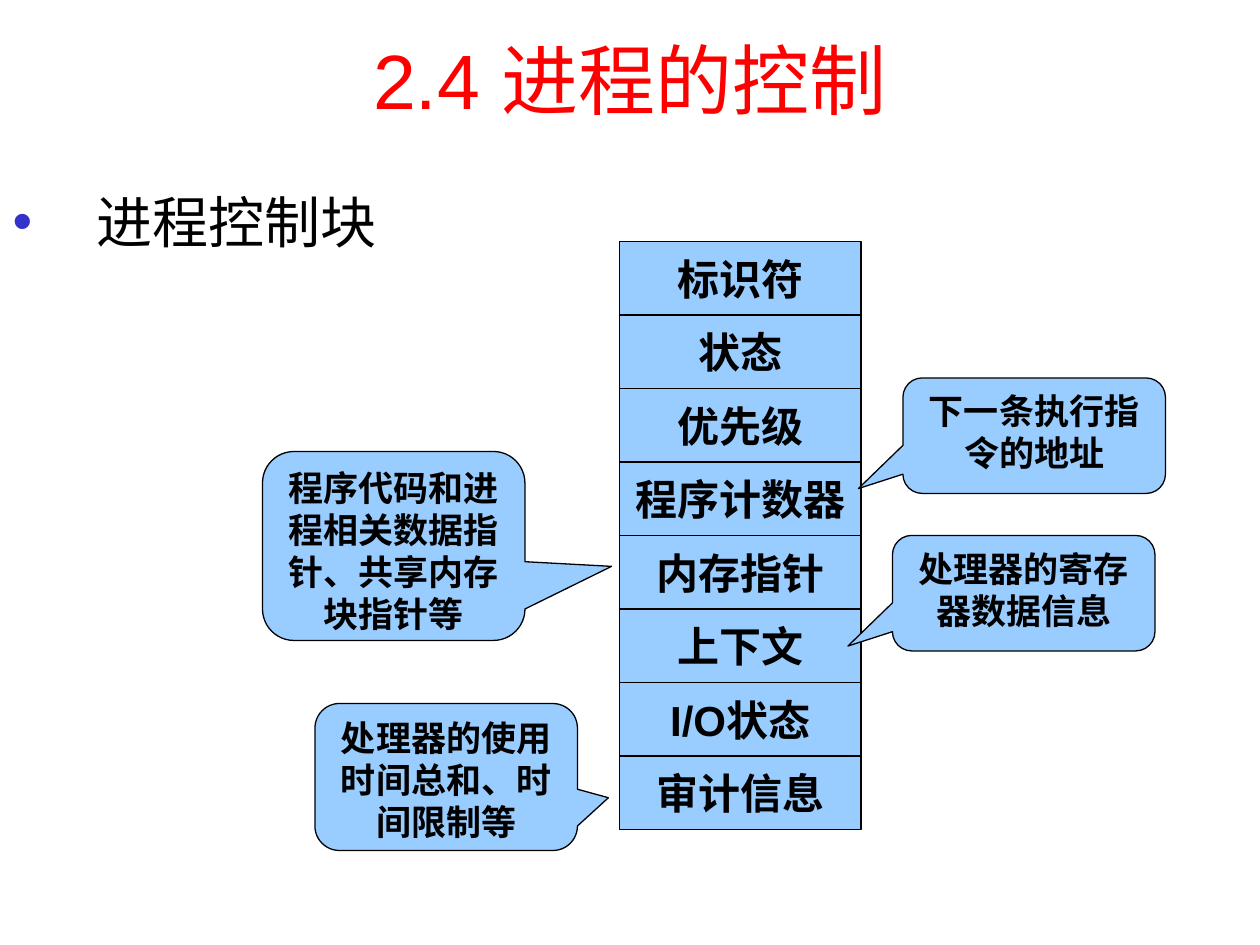
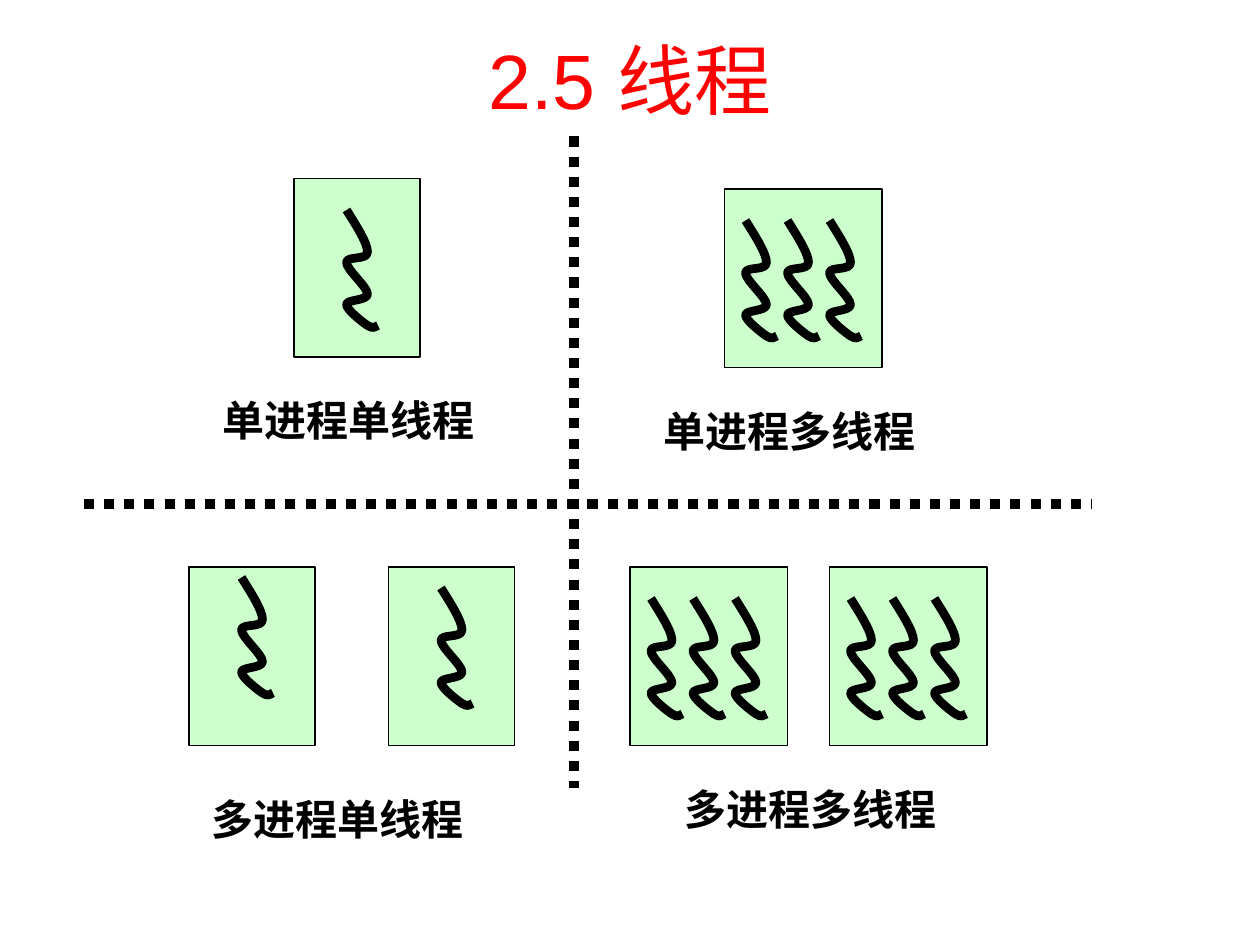
import pptx
import pptx.util
import pptx.dml.color
import pptx.enum.dml
import pptx.enum.shapes
import pptx.enum.text
import pptx.oxml
import pptx.oxml.ns
from lxml import etree

Pt = pptx.util.Pt
RGBColor = pptx.dml.color.RGBColor
MSO_SHAPE = pptx.enum.shapes.MSO_SHAPE
PP_ALIGN = pptx.enum.text.PP_ALIGN
MSO_ANCHOR = pptx.enum.text.MSO_ANCHOR
MSO_AUTO_SIZE = pptx.enum.text.MSO_AUTO_SIZE
qn = pptx.oxml.ns.qn

RED = RGBColor(0xFF, 0x00, 0x00)
BLACK = RGBColor(0x00, 0x00, 0x00)
BULLET_BLUE = RGBColor(0x33, 0x33, 0xCC)
SKY_BLUE = RGBColor(0x99, 0xCC, 0xFF)
PALE_GREEN = RGBColor(0xCC, 0xFF, 0xCC)
FONT = "Arial"
SLIDE_WIDTH, SLIDE_HEIGHT = 720, 540
TITLE_AND_BODY, TITLE_ONLY = 1, 5

PCB_FIELDS = ["标识符", "状态", "优先级", "程序计数器",
              "内存指针", "上下文", "I/O状态", "审计信息"]
FIELD_HEIGHT = 42
PROCESS_HEIGHT = 102
PROCESS_PITCH = 114
THREAD_PITCH = 24
THREAD_CURVES = [
    (6, 9.5), (12, 19), (12, 24),
    (12, 29), (0, 26), (0, 30),
    (0, 34), (12, 44), (12, 48),
    (12, 52), (0, 51), (0, 54),
    (0, 57), (9, 64), (12, 66),
    (15, 68), (16.5, 67), (18, 66),
]


def place(shape, left, top, width, height):
    shape.left, shape.top = Pt(left), Pt(top)
    shape.width, shape.height = Pt(width), Pt(height)


def write(paragraph, text, size, color=BLACK, bold=False, align=PP_ALIGN.CENTER):
    paragraph.alignment = align
    run = paragraph.add_run()
    run.text = text
    run.font.name = FONT
    run.font.size = Pt(size)
    run.font.bold = bold
    run.font.color.rgb = color


def outline(shape, width):
    shape.shadow.inherit = False
    shape.line.color.rgb = BLACK
    shape.line.width = Pt(width)


def filled_shape(shapes, kind, left, top, width, height, color):
    shape = shapes.add_shape(kind, Pt(left), Pt(top), Pt(width), Pt(height))
    shape.fill.solid()
    shape.fill.fore_color.rgb = color
    outline(shape, 0.75)
    return shape


def titled_slide(deck, layout, heading):
    slide = deck.slides.add_slide(deck.slide_layouts[layout])
    title = slide.shapes.title
    place(title, 0, 0, SLIDE_WIDTH, 90)
    title.text_frame.auto_size = MSO_AUTO_SIZE.NONE
    title.text_frame.vertical_anchor = MSO_ANCHOR.MIDDLE
    write(title.text_frame.paragraphs[0], heading, 44, RED)
    return slide


def topic_list(slide, topic, left, top, width, height):
    body = slide.placeholders[1]
    place(body, left, top, width, height)
    body.text_frame.auto_size = MSO_AUTO_SIZE.NONE
    paragraph = body.text_frame.paragraphs[0]
    paragraph.line_spacing = 1.2
    paragraph.space_before = Pt(0)
    properties = paragraph._p.get_or_add_pPr()
    properties.set("marL", str(Pt(48)))
    properties.set("indent", str(Pt(-48)))
    bullet_color = etree.SubElement(properties, qn("a:buClr"))
    etree.SubElement(bullet_color, qn("a:srgbClr"), val=str(BULLET_BLUE))
    etree.SubElement(properties, qn("a:buFont"), typeface=FONT)
    etree.SubElement(properties, qn("a:buChar"), char="•")
    write(paragraph, topic, 32, align=PP_ALIGN.LEFT)


def control_block(slide, left, top, width):
    block = slide.shapes.add_group_shape()
    for index, field in enumerate(PCB_FIELDS):
        cell = filled_shape(block.shapes, MSO_SHAPE.RECTANGLE, left,
                            top + index * FIELD_HEIGHT, width, FIELD_HEIGHT, SKY_BLUE)
        cell.text_frame.word_wrap = False
        cell.text_frame.vertical_anchor = MSO_ANCHOR.MIDDLE
        write(cell.text_frame.paragraphs[0], field, 24, bold=True)


def field_callout(slide, remark, left, top, height, tip_x, tip_y):
    callout = filled_shape(slide.shapes, MSO_SHAPE.ROUNDED_RECTANGULAR_CALLOUT,
                           left, top, 150, height, SKY_BLUE)
    for index, value in enumerate((tip_x, tip_y, 0.167)):
        callout.adjustments[index] = value
    callout.text_frame.word_wrap = True
    callout.text_frame.vertical_anchor = MSO_ANCHOR.TOP
    write(callout.text_frame.paragraphs[0], remark, 20, bold=True)


def bend_segments(strand):
    segments = list(strand._element.iter(qn("a:lnTo")))
    for first in range(0, len(segments), 3):
        curve = etree.SubElement(segments[first].getparent(), qn("a:cubicBezTo"))
        for segment in segments[first:first + 3]:
            curve.append(segment[0])
            segment.getparent().remove(segment)


def thread(shapes, left, top):
    builder = shapes.build_freeform(Pt(left), Pt(top))
    builder.add_line_segments([(Pt(left + x), Pt(top + y)) for x, y in THREAD_CURVES],
                              close=False)
    strand = builder.convert_to_shape()
    bend_segments(strand)
    strand.fill.background()
    outline(strand, 5)


def process(slide, left, top, threads, thread_top, grouped):
    shapes = slide.shapes.add_group_shape().shapes if grouped else slide.shapes
    width, first_thread = (72, 30) if threads == 1 else (90, 12)
    filled_shape(shapes, MSO_SHAPE.RECTANGLE, left, top,
                 width, PROCESS_HEIGHT, PALE_GREEN)
    for index in range(threads):
        thread(shapes, left + first_thread + index * THREAD_PITCH, top + thread_top)


def quadrant(slide, caption, left, top, threads, thread_tops, caption_dx, caption_dy):
    grouped = threads * len(thread_tops) > 1
    for index, thread_top in enumerate(thread_tops):
        process(slide, left + index * PROCESS_PITCH, top, threads, thread_top, grouped)
    label = slide.shapes.add_textbox(Pt(left + caption_dx), Pt(top + caption_dy),
                                     Pt(158.4), Pt(36))
    label.text_frame.word_wrap = False
    label.text_frame.auto_size = MSO_AUTO_SIZE.SHAPE_TO_FIT_TEXT
    write(label.text_frame.paragraphs[0], caption, 24, bold=True, align=PP_ALIGN.LEFT)


def divider(slide, *ends):
    line = slide.shapes.add_connector(pptx.enum.shapes.MSO_CONNECTOR.STRAIGHT,
                                      *(Pt(end) for end in ends))
    line.line.color.rgb = BLACK
    line.line.width = Pt(5.75)
    line.line.dash_style = pptx.enum.dml.MSO_LINE.ROUND_DOT
    etree.SubElement(line._element.spPr, qn("a:effectLst"))


def process_control_slide(deck):
    slide = titled_slide(deck, TITLE_AND_BODY, "2.4 进程的控制")
    topic_list(slide, "进程控制块", 0, 96, SLIDE_WIDTH, 420)
    control_block(slide, 354, 138, 138)
    for callout in [
        ("处理器的寄存器数据信息", 510, 306, 66, -0.67, 0.458),
        ("程序代码和进程相关数据指针、共享内存块指针等", 150, 258, 108, 0.83, 0.108),
        ("下一条执行指令的地址", 516, 216, 66, -0.67, 0.458),
        ("处理器的使用时间总和、时间限制等", 180, 402, 84, 0.618, 0.141),
    ]:
        field_callout(slide, *callout)


def threads_slide(deck):
    slide = titled_slide(deck, TITLE_ONLY, "2.5 线程")
    divider(slide, 48, 288, 624, 288)
    divider(slide, 328, 78, 328, 450)
    for model in [
        ("单进程单线程", 168, 102, 1, [18], -48, 120),
        ("单进程多线程", 414, 108, 3, [18], -42, 120),
        ("多进程单线程", 108, 324, 1, [6, 12], 6, 126),
        ("多进程多线程", 360, 324, 3, [18, 18], 24, 120),
    ]:
        quadrant(slide, *model)


def main():
    deck = pptx.Presentation()
    deck.slide_width, deck.slide_height = Pt(SLIDE_WIDTH), Pt(SLIDE_HEIGHT)
    process_control_slide(deck)
    threads_slide(deck)
    deck.save("out.pptx")


if __name__ == "__main__":
    main()
